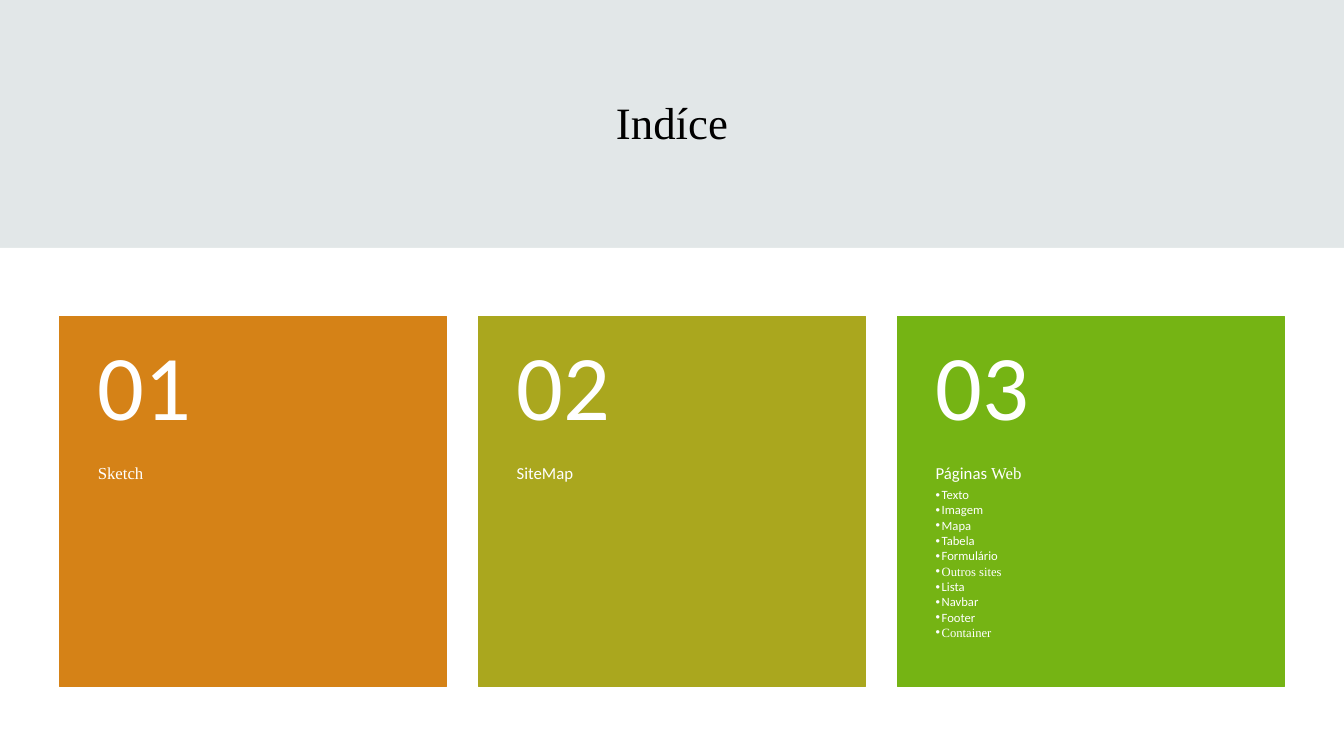
from dataclasses import dataclass

from lxml.etree import SubElement
from pptx import Presentation
from pptx.dml.color import RGBColor
from pptx.enum.shapes import MSO_SHAPE
from pptx.enum.text import MSO_ANCHOR, MSO_AUTO_SIZE, PP_ALIGN
from pptx.oxml.ns import qn
from pptx.slide import Slide
from pptx.text.text import TextFrame
from pptx.util import Inches, Pt


@dataclass(frozen=True)
class Theme:
    sans: str = "Calibri"
    serif: str = "Times New Roman"
    background: str = "E2E7E8"
    panel: str = "FFFFFF"
    light: str = "FFFFFF"
    dark: str = "000000"
    title_size: float = 32
    number_size: float = 66
    heading_size: float = 12
    item_size: float = 9


@dataclass(frozen=True)
class Span:
    text: str
    font: str


@dataclass(frozen=True)
class Line:
    spans: tuple[Span, ...]
    size: float
    after: float
    bullet: bool = False


@dataclass(frozen=True)
class Card:
    number: str
    colour: str
    heading: tuple[Span, ...]
    items: tuple[Span, ...] = ()


THEME = Theme()
SLIDE_WIDTH, SLIDE_HEIGHT = 13.33, 7.5
PANEL_TOP = 2.46
CARD_LEFT, CARD_TOP, CARD_WIDTH, CARD_HEIGHT = 0.59, 3.14, 3.84, 3.67
CARD_PITCH = 4.155
NUMBER_HEIGHT = 1.47
BULLET_INDENT = 0.06

CARDS = (
    Card("01", "D58217", (Span("Sketch", THEME.serif),)),
    Card("02", "AAA71E", (Span("SiteMap", THEME.sans),)),
    Card(
        "03",
        "75B414",
        (Span("Páginas", THEME.sans), Span(" Web", THEME.serif)),
        (
            Span("Texto", THEME.sans),
            Span("Imagem", THEME.sans),
            Span("Mapa", THEME.sans),
            Span("Tabela", THEME.sans),
            Span("Formulário", THEME.sans),
            Span("Outros sites", THEME.serif),
            Span("Lista", THEME.sans),
            Span("Navbar", THEME.sans),
            Span("Footer", THEME.sans),
            Span("Container", THEME.serif),
        ),
    ),
)


def apply(target: object, values: dict[str, object]) -> None:
    for name, value in values.items():
        setattr(target, name, value)


def place(shape: object, left: float, top: float, width: float, height: float) -> None:
    box = {"left": left, "top": top, "width": width, "height": height}
    apply(shape, {name: Inches(value) for name, value in box.items()})


def format_frame(frame: TextFrame, anchor: MSO_ANCHOR, side: float, top: float, bottom: float) -> None:
    apply(frame, {
        "word_wrap": True,
        "auto_size": MSO_AUTO_SIZE.NONE,
        "vertical_anchor": anchor,
        "margin_left": Inches(side),
        "margin_right": Inches(side),
        "margin_top": Inches(top),
        "margin_bottom": Inches(bottom),
    })


def write_lines(frame: TextFrame, lines: list[Line], colour: str, align: PP_ALIGN, spacing: float) -> None:
    for index, line in enumerate(lines):
        para = frame.paragraphs[0] if index == 0 else frame.add_paragraph()
        apply(para, {
            "alignment": align,
            "line_spacing": spacing,
            "space_before": Pt(0),
            "space_after": Pt(line.after),
            "level": int(line.bullet),
        })
        indent = Inches(BULLET_INDENT) if line.bullet else 0
        properties = para._p.get_or_add_pPr()
        properties.set("marL", str(indent))
        properties.set("indent", str(-indent))
        if line.bullet:
            SubElement(properties, qn("a:buFont"), typeface="Arial")
            SubElement(properties, qn("a:buChar"), char="•")
        else:
            SubElement(properties, qn("a:buNone"))
        for span in line.spans:
            run = para.add_run()
            run.text = span.text
            apply(run.font, {"name": span.font, "size": Pt(line.size)})
            run.font.color.rgb = RGBColor.from_string(colour)


def draw_rectangle(page: Slide, left: float, top: float, width: float, height: float,
                   colour: str, outlined: bool) -> None:
    shape = page.shapes.add_shape(
        MSO_SHAPE.RECTANGLE, Inches(left), Inches(top), Inches(width), Inches(height))
    shape.shadow.inherit = False
    shape.fill.solid()
    shape.fill.fore_color.rgb = RGBColor.from_string(colour)
    if outlined:
        shape.line.color.rgb = RGBColor.from_string(colour)
        shape.line.width = Pt(0.75)
    else:
        shape.line.fill.background()


def draw_card(page: Slide, card: Card, left: float) -> None:
    draw_rectangle(page, left, CARD_TOP, CARD_WIDTH, CARD_HEIGHT, card.colour, True)

    number = page.shapes.add_textbox(0, 0, 0, 0)
    place(number, left, CARD_TOP, CARD_WIDTH, NUMBER_HEIGHT)
    format_frame(number.text_frame, MSO_ANCHOR.MIDDLE, 0.38, 0.18, 0.18)
    number_line = Line((Span(card.number, THEME.sans),), THEME.number_size, 0)
    write_lines(number.text_frame, [number_line], THEME.light, PP_ALIGN.LEFT, 0.9)

    if card.items:
        body = page.placeholders[1]
        body.element.getparent().append(body.element)
    else:
        body = page.shapes.add_textbox(0, 0, 0, 0)
    place(body, left, CARD_TOP + NUMBER_HEIGHT, CARD_WIDTH, CARD_HEIGHT - NUMBER_HEIGHT)
    format_frame(body.text_frame, MSO_ANCHOR.TOP, 0.38, 0, 0.36)
    lines = [Line(card.heading, THEME.heading_size, 4.2)]
    lines += [Line((item,), THEME.item_size, 1.2, True) for item in card.items]
    write_lines(body.text_frame, lines, THEME.light, PP_ALIGN.LEFT, 0.9)


def main() -> None:
    deck = Presentation()
    apply(deck, {"slide_width": Inches(SLIDE_WIDTH), "slide_height": Inches(SLIDE_HEIGHT)})
    page = deck.slides.add_slide(deck.slide_layouts[1])
    page.background.fill.solid()
    page.background.fill.fore_color.rgb = RGBColor.from_string(THEME.background)

    title = page.shapes.title
    place(title, 1.18, 0.59, 10.97, 1.23)
    format_frame(title.text_frame, MSO_ANCHOR.MIDDLE, 0.1, 0.05, 0.05)
    title_line = Line((Span("Indíce", THEME.serif),), THEME.title_size, 0)
    write_lines(title.text_frame, [title_line], THEME.dark, PP_ALIGN.CENTER, 1.0)

    draw_rectangle(page, 0, PANEL_TOP, SLIDE_WIDTH, SLIDE_HEIGHT - PANEL_TOP, THEME.panel, False)
    for index, card in enumerate(CARDS):
        draw_card(page, card, CARD_LEFT + index * CARD_PITCH)

    deck.save("out.pptx")


if __name__ == "__main__":
    main()
